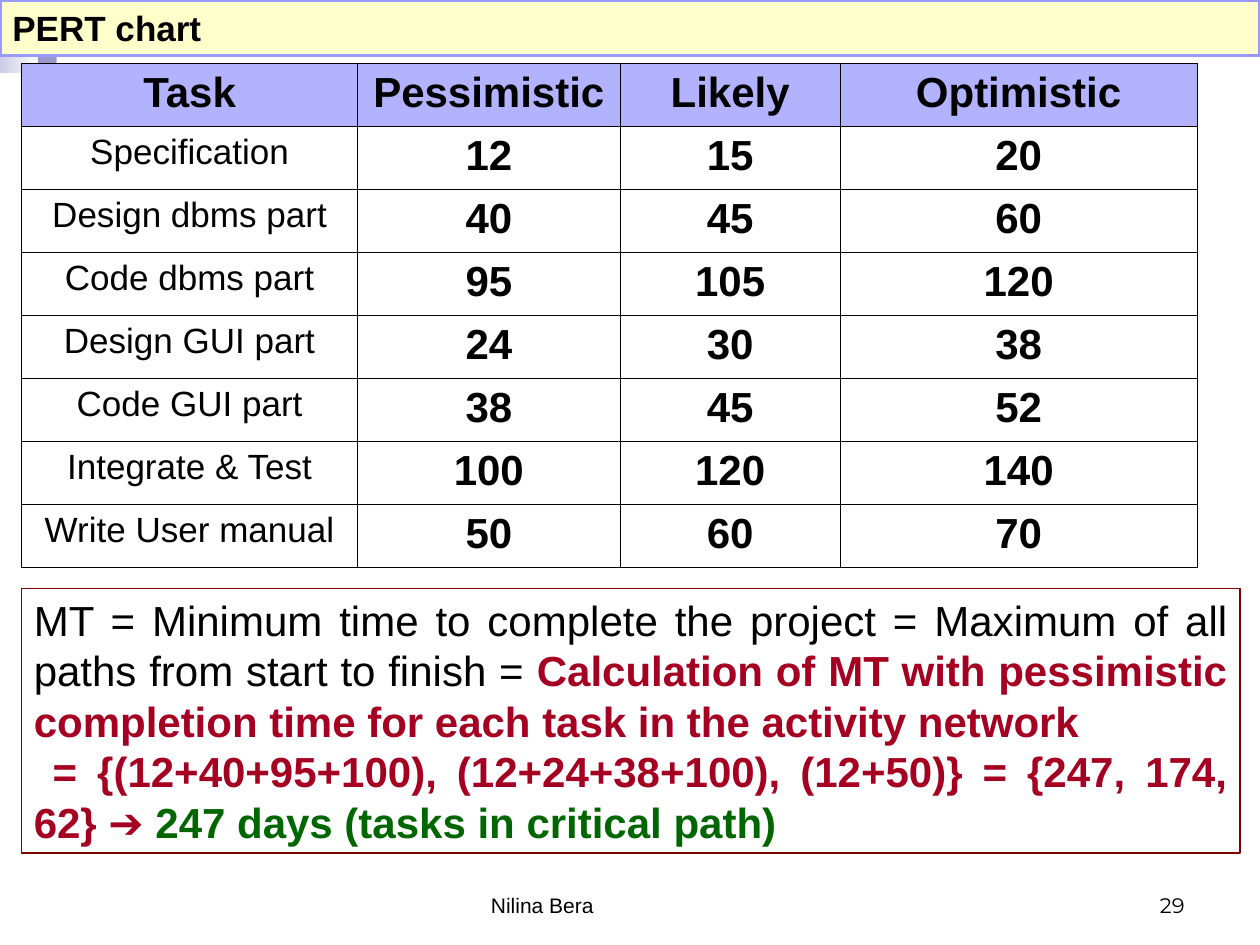
from lxml import etree
from pptx import Presentation
from pptx.dml.color import RGBColor
from pptx.enum.shapes import MSO_SHAPE
from pptx.enum.text import MSO_ANCHOR, PP_ALIGN
from pptx.oxml.ns import qn
from pptx.util import Inches, Pt

RECTANGLE = MSO_SHAPE.RECTANGLE
LEFT, CENTER, RIGHT, JUSTIFY = (
    PP_ALIGN.LEFT, PP_ALIGN.CENTER, PP_ALIGN.RIGHT, PP_ALIGN.JUSTIFY)
TOP, BOTTOM = MSO_ANCHOR.TOP, MSO_ANCHOR.BOTTOM

BLACK, CRIMSON, GREEN = "000000", "A50021", "006600"
LAVENDER, SLATE = "CCCCE6", "9999CC"
TILE = 0.15
ROW_HEIGHT = 0.5
COLUMN_WIDTHS = [2.67, 2.08, 1.75, 2.83]

ESTIMATES = [
    ("Task", "Pessimistic", "Likely", "Optimistic"),
    ("Specification", 12, 15, 20),
    ("Design dbms part", 40, 45, 60),
    ("Code dbms part", 95, 105, 120),
    ("Design GUI part", 24, 30, 38),
    ("Code GUI part", 38, 45, 52),
    ("Integrate & Test", 100, 120, 140),
    ("Write User manual", 50, 60, 70),
]

# Each paragraph is a list of (text, colour, bold) spans.
CALCULATION = [
    [("MT = Minimum time to complete the project = Maximum of all paths "
      "from start to finish = ", BLACK, False),
     ("Calculation of MT with pessimistic completion time for each task "
      "in the activity network", CRIMSON, True)],
    [("= {(12+40+95+100), (12+24+38+100), (12+50)} = {247, 174, 62} ➔ ",
      CRIMSON, True),
     ("247 days (tasks in critical path)", GREEN, True)],
]


def colour(hex_value):
    return RGBColor.from_string(hex_value)


def style_font(font, size, hex_value=BLACK, bold=False, name="Arial"):
    font.name, font.size, font.bold = name, Pt(size), bold
    font.color.rgb = colour(hex_value)


def add_rectangle(page, left, top, width, height, fill=None, line=None,
                  line_width=1):
    box = page.shapes.add_shape(
        RECTANGLE, Inches(left), Inches(top), Inches(width), Inches(height))
    box.shadow.inherit = False
    if fill:
        box.fill.solid()
        box.fill.fore_color.rgb = colour(fill)
    else:
        box.fill.background()
    if line:
        box.line.color.rgb = colour(line)
        box.line.width = Pt(line_width)
    else:
        box.line.fill.background()
    return box


def add_fade(page, left, top, width, height, start):
    """Add a rectangle that fades to white from left to right."""
    box = add_rectangle(page, left, top, width, height)
    box.fill.gradient()
    box.fill.gradient_angle = 0
    for stop, hex_value, position in zip(
            box.fill.gradient_stops, (start, "FFFFFF"), (0, 1)):
        stop.color.rgb = colour(hex_value)
        stop.position = position


def add_ornament(page):
    add_fade(page, 0, 0, 0.31, 0.58, LAVENDER)
    add_fade(page, 3 * TILE, TILE, 10 - 3 * TILE, 2 * TILE, "00007D")
    for column, row, fill in [(4, 0, LAVENDER), (2, 2, LAVENDER),
                              (3, 2, SLATE), (2, 3, SLATE)]:
        add_rectangle(page, column * TILE, row * TILE, TILE, TILE, fill)


def add_footer(page, left, width, text, alignment, font_name,
               right_margin=0.1):
    box = page.shapes.add_textbox(
        Inches(left), Inches(6.83), Inches(width), Inches(0.5))
    frame = box.text_frame
    frame.word_wrap = True
    frame.vertical_anchor = BOTTOM
    frame.margin_right = Inches(right_margin)
    frame.text = text
    para = frame.paragraphs[0]
    para.alignment = alignment
    style_font(para.runs[0].font, 12, name=font_name)


def add_borders(cell):
    properties = cell._tc.get_or_add_tcPr()
    for side in ("lnL", "lnR", "lnT", "lnB"):
        border = etree.SubElement(
            properties, qn(f"a:{side}"), w=str(Pt(0.45)))
        fill = etree.SubElement(border, qn("a:solidFill"))
        etree.SubElement(fill, qn("a:srgbClr"), val=BLACK)


def add_estimates(page):
    table = page.shapes.add_table(
        len(ESTIMATES), len(COLUMN_WIDTHS), Inches(0.17), Inches(0.5),
        Inches(sum(COLUMN_WIDTHS)),
        Inches(ROW_HEIGHT * len(ESTIMATES))).table
    table.first_row = table.horz_banding = False
    for column, width in zip(table.columns, COLUMN_WIDTHS):
        column.width = Inches(width)
    for row_index, values in enumerate(ESTIMATES):
        for column_index, value in enumerate(values):
            cell = table.cell(row_index, column_index)
            add_borders(cell)
            is_header = row_index == 0
            if is_header:
                cell.fill.solid()
                cell.fill.fore_color.rgb = colour("B2B2FF")
            else:
                cell.fill.background()
            cell.text = str(value)
            para = cell.text_frame.paragraphs[0]
            para.alignment = CENTER
            is_strong = is_header or column_index > 0
            style_font(para.runs[0].font, 24 if is_strong else 20,
                       bold=is_strong)


def add_title(page):
    box = add_rectangle(page, 0, 0, 10, 0.44, "FFFFCC", "9999FF", 2)
    frame = box.text_frame
    frame.vertical_anchor = TOP
    frame.text = "PERT chart"
    para = frame.paragraphs[0]
    para.alignment = LEFT
    style_font(para.runs[0].font, 20, bold=True)


def add_calculation(page):
    frame = add_rectangle(page, 0.17, 4.67, 9.67, 2.1,
                          line="800000").text_frame
    frame.word_wrap = True
    frame.vertical_anchor = TOP
    for index, spans in enumerate(CALCULATION):
        para = frame.add_paragraph() if index else frame.paragraphs[0]
        para.alignment = JUSTIFY
        if index:
            para._p.get_or_add_pPr().set("indent", str(Inches(0.15)))
        for text, hex_value, bold in spans:
            span = para.add_run()
            span.text = text
            style_font(span.font, 24, hex_value, bold)


def main():
    deck = Presentation()
    deck.slide_width, deck.slide_height = Inches(10), Inches(7.5)
    page = deck.slides.add_slide(deck.slide_layouts[6])
    add_ornament(page)
    add_footer(page, 3.42, 3.17, "Nilina Bera", CENTER, "Arial", 1.5)
    add_footer(page, 7.17, 2.33, "29", RIGHT, "Montserrat")
    add_estimates(page)
    add_title(page)
    add_calculation(page)
    deck.save("out.pptx")


if __name__ == "__main__":
    main()
